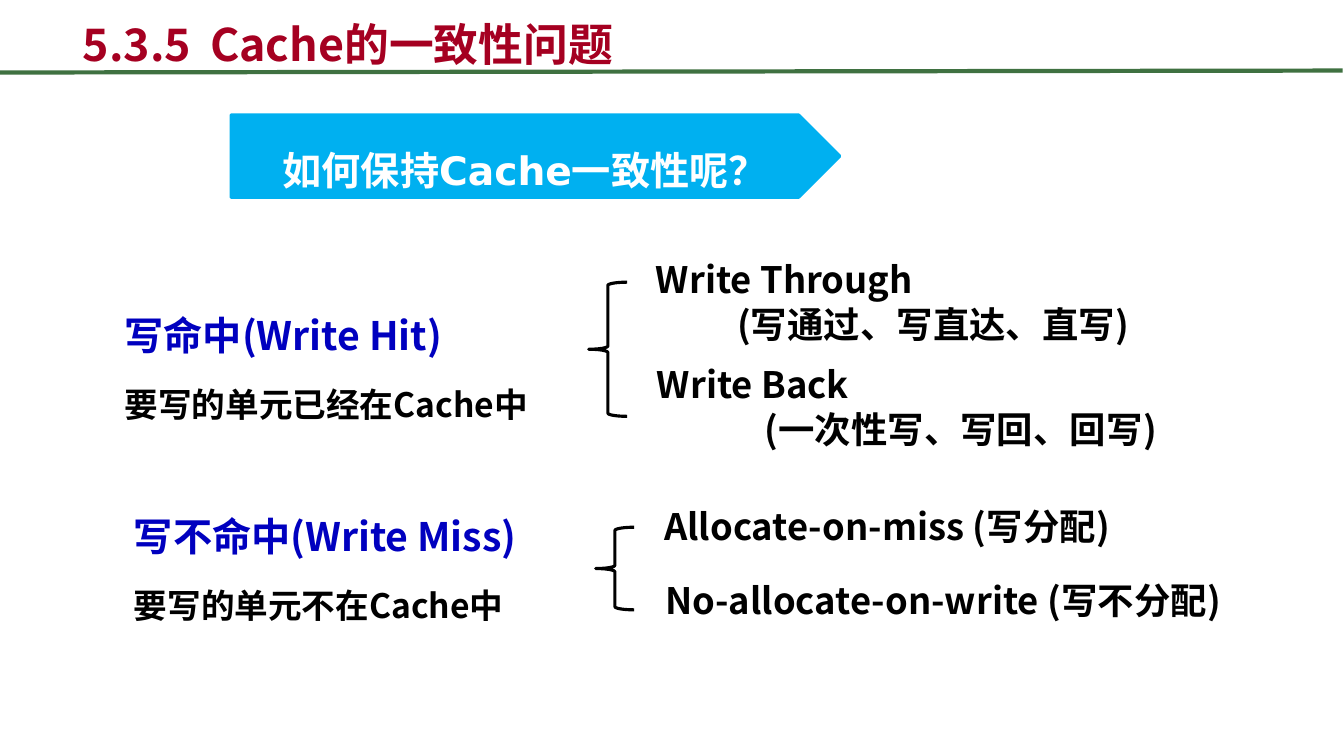
from dataclasses import dataclass

import lxml.etree
import pptx
import pptx.dml.color
import pptx.enum.shapes
import pptx.enum.text
import pptx.oxml.ns
import pptx.util

Pt = pptx.util.Pt
Preset = pptx.enum.shapes.MSO_SHAPE
Anchor = pptx.enum.text.MSO_ANCHOR
Align = pptx.enum.text.PP_ALIGN
qn = pptx.oxml.ns.qn


@dataclass(frozen=True)
class Theme:
    font: str = "Noto Sans CJK SC"
    banner_font: str = "DejaVu Sans"
    title: str = "A50021"
    rule: str = "3F7141"
    banner: str = "00B0F0"
    banner_text: str = "FFFFFF"
    case: str = "0000BF"
    ink: str = "000000"
    title_size: int = 32
    case_size: int = 28
    policy_size: int = 26
    note_size: int = 24


def rgb(code):
    return pptx.dml.color.RGBColor.from_string(code)


class SlideBuilder:
    def __init__(self, slide, theme):
        self.shapes = slide.shapes
        self.theme = theme

    def add_text(self, paragraph, text, size, color, font=None):
        run = paragraph.add_run()
        run.text = text
        run.font.size = Pt(size)
        run.font.bold = True
        run.font.color.rgb = rgb(color)
        run.font.name = font or self.theme.font
        east_asian = lxml.etree.SubElement(run._r.get_or_add_rPr(), qn("a:ea"))
        east_asian.set("typeface", self.theme.font)

    def text_box(self, left, top, width, height, lines, line_spacing=None):
        """Each line is (text, size, colour, left indent)."""
        frame = self.shapes.add_textbox(Pt(left), Pt(top), Pt(width), Pt(height)).text_frame
        frame.word_wrap = True
        frame.auto_size = pptx.enum.text.MSO_AUTO_SIZE.SHAPE_TO_FIT_TEXT
        for index, (text, size, color, indent) in enumerate(lines):
            paragraph = frame.add_paragraph() if index else frame.paragraphs[0]
            if line_spacing:
                paragraph.line_spacing = line_spacing
            if index:
                paragraph.space_before = Pt(round(size * 0.05, 1))
            if indent:
                paragraph._p.get_or_add_pPr().set("marL", str(int(Pt(indent))))
            self.add_text(paragraph, text, size, color)

    def title(self, number, heading, tab):
        box = self.shapes.add_textbox(Pt(52), Pt(0.7), Pt(737), Pt(53.3))
        frame = box.text_frame
        frame.word_wrap = True
        frame.vertical_anchor = Anchor.BOTTOM
        paragraph = frame.paragraphs[0]
        tabs = lxml.etree.SubElement(paragraph._p.get_or_add_pPr(), qn("a:tabLst"))
        lxml.etree.SubElement(tabs, qn("a:tab"), pos=str(int(Pt(tab))), algn="l")
        self.add_text(paragraph, f"{number}\t{heading}", self.theme.title_size, self.theme.title)

    def title_rule(self):
        rule = self.shapes.add_connector(
            pptx.enum.shapes.MSO_CONNECTOR.STRAIGHT, Pt(0), Pt(51.8), Pt(959), Pt(50.4))
        rule.line.color.rgb = rgb(self.theme.rule)
        rule.line.width = Pt(3)
        lxml.etree.SubElement(rule._element.spPr, qn("a:effectLst"))

    def preset(self, kind, left, top, width, height, line, line_width):
        shape = self.shapes.add_shape(kind, Pt(left), Pt(top), Pt(width), Pt(height))
        shape.shadow.inherit = False
        shape.fill.background()
        shape.line.color.rgb = rgb(line)
        shape.line.width = Pt(line_width)
        return shape

    def banner(self, question):
        theme = self.theme
        arrow = self.preset(Preset.PENTAGON, 165, 82, 435, 59, theme.banner, 2)
        arrow.fill.solid()
        arrow.fill.fore_color.rgb = rgb(theme.banner)
        frame = arrow.text_frame
        frame.word_wrap = True
        frame.vertical_anchor = Anchor.MIDDLE
        paragraph = frame.paragraphs[0]
        paragraph.alignment = Align.CENTER
        paragraph.line_spacing = 1.6
        self.add_text(paragraph, question, theme.case_size, theme.banner_text, theme.banner_font)

    def brace(self, left, top, height):
        self.preset(Preset.LEFT_BRACE, left, top, 27.4, height, self.theme.ink, 2.25)

    def write_case(self, left, top, name, meaning):
        theme = self.theme
        self.text_box(left, top, 369, 104, [
            (name, theme.case_size, theme.case, 0),
            (meaning, theme.note_size, theme.ink, 0),
        ], line_spacing=1.6)

    def policy(self, left, top, width, name, aliases=None, indent=0):
        theme = self.theme
        lines = [(name, theme.policy_size, theme.ink, 0)]
        if aliases:
            lines.append((aliases, theme.policy_size, theme.ink, indent))
        self.text_box(left, top, width, 72 if aliases else 39, lines)


def main():
    deck = pptx.Presentation()
    deck.slide_width, deck.slide_height = Pt(960), Pt(540)
    page = SlideBuilder(deck.slides.add_slide(deck.slide_layouts[6]), Theme())

    page.title_rule()
    page.banner("如何保持Cache一致性呢？")

    page.write_case(82, 198.7, "写命中(Write Hit)", "要写的单元已经在Cache中")
    page.brace(420.5, 201.6, 95.8)
    page.policy(461.5, 180, 477, "Write Through", "(写通过、写直达、直写)", 58)
    page.policy(462.2, 255, 406, "Write Back", "(一次性写、写回、回写)", 77)

    page.write_case(88.6, 342, "写不命中(Write Miss)", "要写的单元不在Cache中")
    page.brace(425.5, 376.6, 59)
    page.policy(467.3, 356.4, 406, "Allocate-on-miss (写分配)")
    page.policy(468, 409.7, 439, "No-allocate-on-write (写不分配)")

    page.title("5.3.5", "Cache的一致性问题", tab=91)
    deck.save("out.pptx")


if __name__ == "__main__":
    main()
